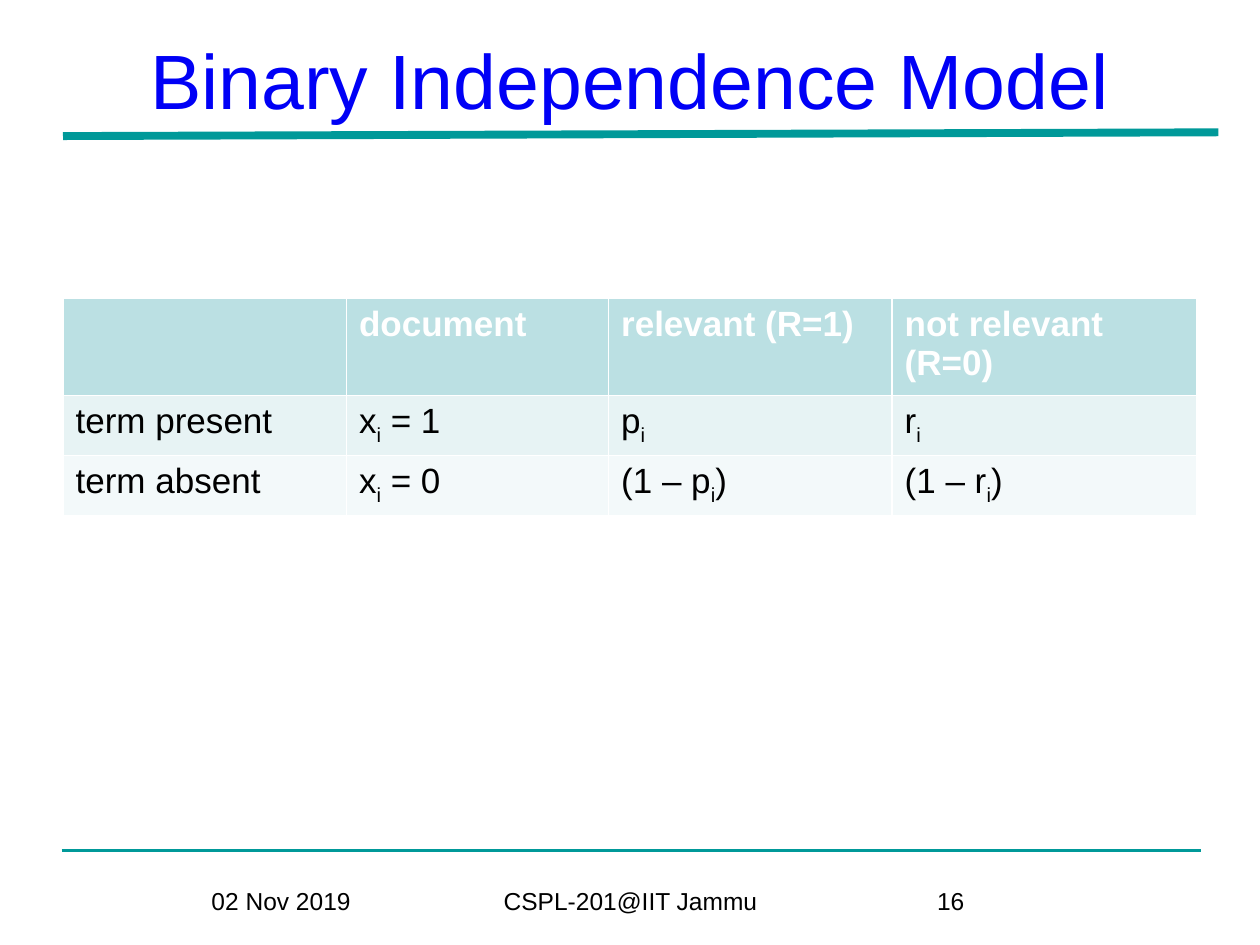
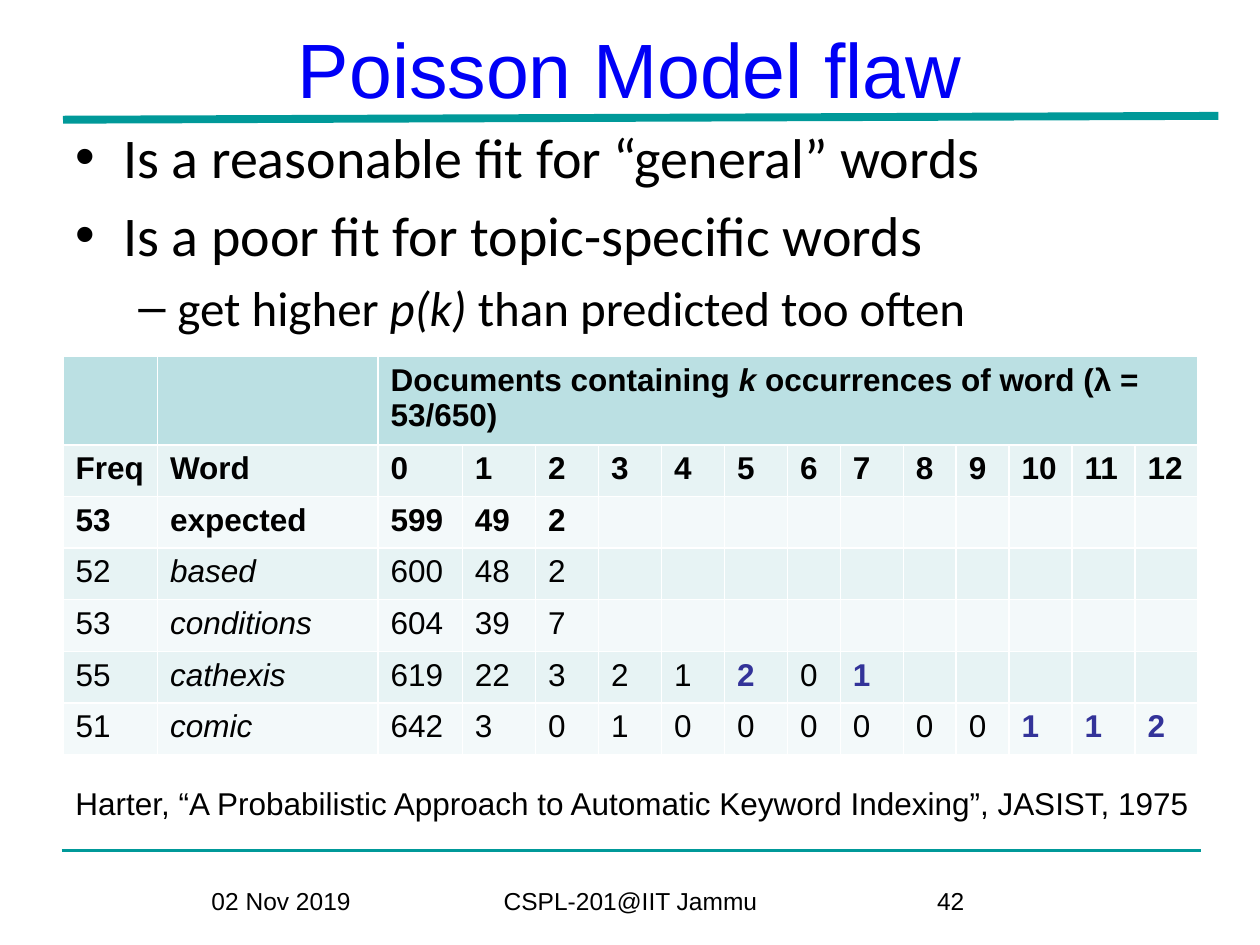
import pptx
import pptx.util
import pptx.dml.color
import pptx.enum.shapes
import pptx.enum.text
from lxml import etree

Inches = pptx.util.Inches
Pt = pptx.util.Pt
Align = pptx.enum.text.PP_ALIGN

HUES = {
    "title": "0000F6",
    "rule": "009999",
    "ink": "000000",
    "white": "FFFFFF",
    "mark": "333399",
    "head": "BBE0E3",
    "odd": "E7F3F4",
    "even": "F3F9FA",
}
SUB = {"sub": True}
ITALIC = {"italic": True}


def rgb(hue):
    return pptx.dml.color.RGBColor.from_string(HUES[hue])


def sub(base, tail=""):
    return [(base, {}), ("i", SUB), (tail, {})]


class Deck:
    base = {"name": "Arial", "size": 18, "hue": "ink", "bold": False, "italic": False}

    def __init__(self):
        self.prs = pptx.Presentation()
        self.prs.slide_width = Inches(10)
        self.prs.slide_height = Inches(7.5)
        self.slide = None

    def start(self, title, high, rule, page):
        self.slide = self.prs.slides.add_slide(self.prs.slide_layouts[5])
        self.line(0.49, 6.75, 9.53, 6.75, 2.25)
        head = self.slide.shapes.title
        place = {"left": 0.5, "top": 0, "width": 9, "height": high}
        for key, val in place.items():
            setattr(head, key, Inches(val))
        frame = head.text_frame
        frame.auto_size = pptx.enum.text.MSO_AUTO_SIZE.NONE
        frame.vertical_anchor = pptx.enum.text.MSO_ANCHOR.MIDDLE
        self.label(frame.paragraphs[0], title, size=44, hue="title")
        frame.paragraphs[0].alignment = Align.CENTER
        feet = [
            ("02 Nov 2019", 1.58, 1.42, Align.LEFT),
            ("CSPL-201@IIT Jammu", 3.42, 3.17, Align.CENTER),
            (page, 6.92, 1.25, Align.CENTER),
        ]
        for text, left, wide, align in feet:
            para = self.box(left, 6.98, wide, 0.52).paragraphs[0]
            self.label(para, text, size=14)
            para.alignment = align
        self.line(0.5, rule, 9.67, rule - 0.03, 4.5)

    def line(self, x1, y1, x2, y2, width):
        kind = pptx.enum.shapes.MSO_CONNECTOR.STRAIGHT
        ends = [Inches(n) for n in (x1, y1, x2, y2)]
        line = self.slide.shapes.add_connector(kind, *ends)
        line.line.color.rgb = rgb("rule")
        line.line.width = Pt(width)
        etree.SubElement(line._element.spPr, pptx.oxml.ns.qn("a:effectLst"))

    def box(self, *place):
        frame = self.slide.shapes.add_textbox(*map(Inches, place)).text_frame
        frame.word_wrap = True
        return frame

    def label(self, para, runs, **style):
        if isinstance(runs, str):
            runs = [(runs, {})]
        for text, extra in runs:
            if not text:
                continue
            run = para.add_run()
            run.text = text
            look = {**self.base, **style, **extra}
            run.font.color.rgb = rgb(look.pop("hue"))
            if look.pop("sub", False):
                run._r.get_or_add_rPr().set("baseline", "-25000")
            look["size"] = Pt(look["size"])
            for key, val in look.items():
                setattr(run.font, key, val)

    def points(self, place, items):
        frame = self.box(*place)
        for num, (runs, size, mark, left, hang) in enumerate(items):
            para = frame.add_paragraph() if num else frame.paragraphs[0]
            props = para._p.get_or_add_pPr()
            props.set("marL", str(Inches(left)))
            props.set("indent", str(-Inches(hang)))
            for tag, key, val in (("buFont", "typeface", "Arial"), ("buChar", "char", mark)):
                etree.SubElement(props, pptx.oxml.ns.qn("a:" + tag)).set(key, val)
            if num:
                para.space_before = Pt(size * 0.2)
            self.label(para, runs, name="Calibri", size=size)

    def table(self, top, cols, highs, rows, look):
        place = [Inches(n) for n in (0.5, top, 9, sum(highs))]
        table = self.slide.shapes.add_table(len(rows), len(cols), *place).table
        for col, wide in zip(table.columns, cols):
            col.width = Inches(wide)
        for r, cells in enumerate(rows):
            table.rows[r].height = Inches(highs[r])
            fill = "head" if r == 0 else ("even", "odd")[r % 2]
            for c in range(len(cols)):
                cell = table.cell(r, c)
                cell.fill.solid()
                cell.fill.fore_color.rgb = rgb(fill)
                if c < len(cells):
                    para = cell.text_frame.paragraphs[0]
                    self.label(para, cells[c], **look(r, c))
        return table


def binary(deck):
    deck.start("Binary Independence Model", 1.25, 1.08, "16")
    rows = [
        ["", "document", "relevant (R=1)", "not relevant (R=0)"],
        ["term present", sub("x", " = 1"), sub("p"), sub("r")],
        ["term absent", sub("x", " = 0"), sub("(1 – p", ")"), sub("(1 – r", ")")],
    ]

    def look(r, c):
        return {"size": 20, "bold": r == 0, "hue": "ink" if r else "white"}

    deck.table(2.37, [2.25, 2.08, 2.25, 2.42], [0.71, 0.46, 0.46], rows, look)


def poisson(deck):
    deck.start("Poisson Model flaw", 1.08, 0.95, "42")
    higher = [("get higher ", {}), ("p(k) ", ITALIC), ("than predicted too often", {})]
    deck.points((0.5, 0.92, 9, 5.37), [
        ("Is a reasonable fit for “general” words", 32, "•", 0.38, 0.38),
        ("Is a poor fit for topic-specific words", 32, "•", 0.38, 0.38),
        (higher, 28, "–", 0.81, 0.31),
    ])
    head = [("Documents containing ", {}), ("k", ITALIC),
            (" occurrences of word (λ = 53/650)", {})]
    rows = [
        ["", "", head],
        ["Freq", "Word", *map(str, range(13))],
        "53 expected 599 49 2".split(),
        "52 based 600 48 2".split(),
        "53 conditions 604 39 7".split(),
        "55 cathexis 619 22 3 2 1 2 0 1".split(),
        "51 comic 642 3 0 1 0 0 0 0 0 0 1 1 2".split(),
    ]
    marks = {(5, 7), (5, 9), (6, 12), (6, 13), (6, 14)}

    def look(r, c):
        hot = (r, c) in marks
        return {"bold": r < 3 or hot, "italic": r > 2 and c == 1,
                "hue": "mark" if hot else "ink"}

    cols = [0.75, 1.75, 0.67, 0.58] + [0.5] * 4 + [0.42, 0.5, 0.42, 0.42] + [0.5] * 3
    table = deck.table(2.83, cols, [0.67] + [0.41] * 6, rows, look)
    table.cell(0, 2).merge(table.cell(0, 14))
    cite = "Harter, “A Probabilistic Approach to Automatic Keyword Indexing”, JASIST, 1975"
    deck.label(deck.box(0.5, 6.17, 9.13, 0.4).paragraphs[0], cite)


def main():
    deck = Deck()
    binary(deck)
    poisson(deck)
    deck.prs.save("out.pptx")


if __name__ == "__main__":
    main()
